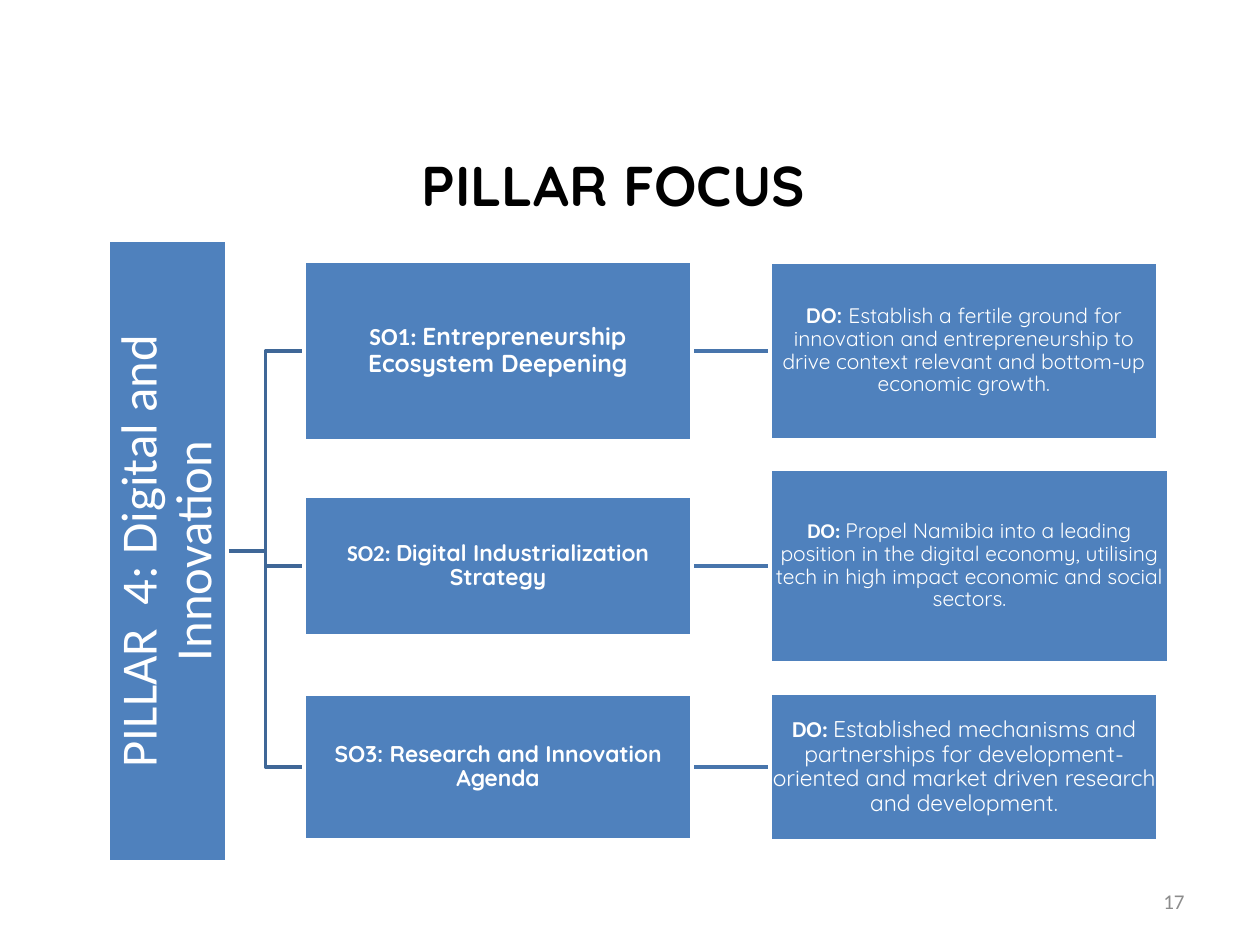
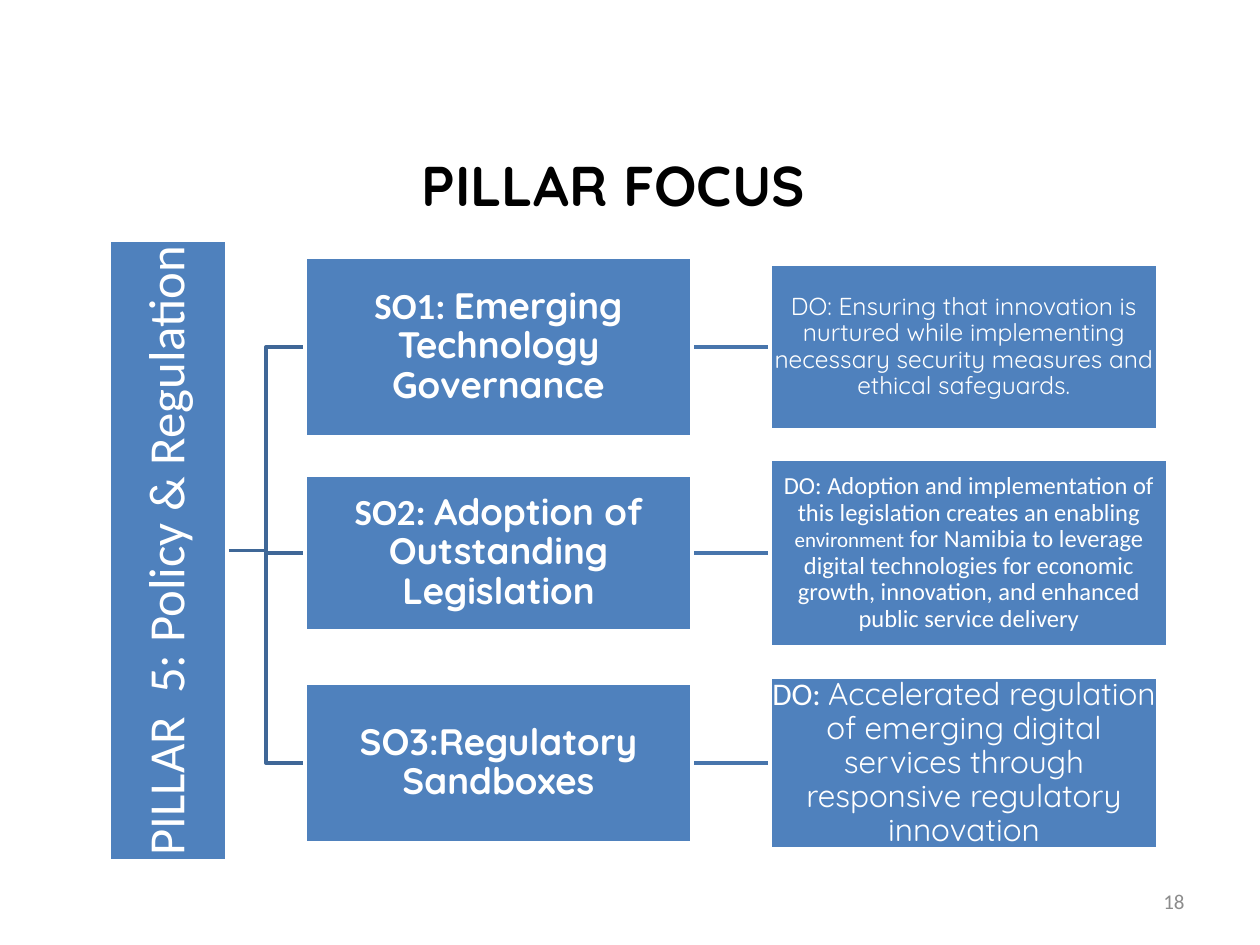
from lxml import etree
from pptx import Presentation
from pptx.dml.color import RGBColor
from pptx.enum.shapes import MSO_CONNECTOR, MSO_SHAPE
from pptx.enum.text import MSO_ANCHOR, PP_ALIGN
from pptx.oxml.ns import qn
from pptx.util import Emu, Pt

RECTANGLE = MSO_SHAPE.RECTANGLE
ELBOW, STRAIGHT = MSO_CONNECTOR.ELBOW, MSO_CONNECTOR.STRAIGHT
TOP, MIDDLE = MSO_ANCHOR.TOP, MSO_ANCHOR.MIDDLE
CENTER, RIGHT = PP_ALIGN.CENTER, PP_ALIGN.RIGHT
LEFT_SIDE, RIGHT_SIDE = 1, 3

EMU_PER_PX = 914400 / 126
HEADING, PLAIN = "Quicksand", "Calibri"
BLACK, WHITE, GREY = "000000", "FFFFFF", "8C8C8C"
BOX_BLUE, BRANCH_BLUE, LINK_BLUE = "4F81BD", "3F6797", "4875AC"

OUTCOME_LEFT = 770
TITLE_BOX = (151, 144, 924, 81)
NUMBER_BOX = (903, 876, 294, 50)

# Each row: centre, objective height, outcome width and height, then runs
# written as (text, size, font, bold)
PILLARS = [
    dict(
        number="17", name="PILLAR  4: Digital and Innovation",
        bar=(108, 240, 119, 622), objective=(304, 388),
        rows=[
            (351, 180, 388, 178,
             [("SO1: ", 14, PLAIN, True),
              ("Entrepreneurship Ecosystem Deepening", 14, HEADING, True)],
             [("DO: ", 12, HEADING, True),
              ("Establish a fertile ground for innovation and entrepreneurship "
               "to drive context relevant and bottom-up economic growth.",
               12, HEADING, False)]),
            (566, 140, 399, 194,
             [("SO2: ", 13, PLAIN, True),
              ("Digital Industrialization Strategy", 13, HEADING, True)],
             [("DO: ", 12, PLAIN, True),
              ("Propel Namibia into a leading position in the digital economy, "
               "utilising tech in high impact economic and social sectors.",
               12, HEADING, False)]),
            (767, 146, 388, 148,
             [("SO3: Research and Innovation Agenda", 13, HEADING, True)],
             [("DO: ", 13, PLAIN, True),
              ("Established mechanisms and partnerships for "
               "development-oriented and market driven research and "
               "development.", 13, HEADING, False)]),
        ]),
    dict(
        number="18", name="PILLAR  5: Policy & Regulation",
        bar=(109, 240, 118, 621), objective=(305, 387),
        rows=[
            (347, 180, 388, 166,
             [("SO1: ", 21, PLAIN, True),
              ("Emerging Technology Governance", 21, HEADING, True)],
             [("DO: Ensuring that innovation is nurtured while implementing "
               "necessary security measures and ethical safeguards.",
               14, HEADING, False)]),
            (553, 156, 398, 188,
             [("SO2: ", 21, PLAIN, True),
              ("Adoption of Outstanding Legislation", 21, HEADING, True)],
             [("DO: Adoption and implementation of this legislation creates an "
               "enabling ", 14, PLAIN, False),
              ("environment", 12, PLAIN, False),
              (" for Namibia to leverage digital technologies for economic "
               "growth, innovation, and enhanced public service delivery",
               14, PLAIN, False)]),
            (763, 160, 388, 172,
             [("SO3:Regulatory Sandboxes", 21, HEADING, True)],
             [("DO: ", 18, PLAIN, False),
              ("Accelerated regulation of emerging digital services through "
               "responsive regulatory innovation", 18, HEADING, False)]),
        ]),
]


def px(length):
    return Emu(round(length * EMU_PER_PX))


def rgb(value):
    return RGBColor.from_string(value)


def write(frame, runs, color, align=CENTER, anchor=MIDDLE):
    frame.word_wrap = True
    frame.vertical_anchor = anchor
    paragraph = frame.paragraphs[0]
    paragraph.alignment = align
    for text, size, font, bold in runs:
        run = paragraph.add_run()
        run.text = text
        run.font.size, run.font.name, run.font.bold = Pt(size), font, bold
        run.font.color.rgb = rgb(color)
    return paragraph


def add_label(slide, box, runs, color, align=CENTER, anchor=MIDDLE):
    label = slide.shapes.add_textbox(*map(px, box))
    write(label.text_frame, runs, color, align, anchor)


def add_block(slide, box, runs, inset=1):
    block = slide.shapes.add_shape(RECTANGLE, *map(px, box))
    block.shadow.inherit = False
    block.fill.solid()
    block.fill.fore_color.rgb = rgb(BOX_BLUE)
    block.line.color.rgb = rgb(WHITE)
    block.line.width = Pt(2)
    frame = block.text_frame
    frame.margin_left = frame.margin_right = px(inset)
    frame.margin_top = frame.margin_bottom = px(inset)
    write(frame, runs, WHITE).line_spacing = 0.9
    return block


def add_line(slide, kind, start, end, color):
    line = slide.shapes.add_connector(kind, *map(px, start + end))
    line.line.color.rgb = rgb(color)
    line.line.width = Pt(2)
    etree.SubElement(line._element.spPr, qn("a:effectLst"))
    return line


def add_pillar_bar(slide, box, name):
    # The bar reads upwards: lay it flat around the same centre, then turn it
    left, top, width, height = box
    shift = (height - width) / 2
    flat = (left - shift, top + shift, height, width)
    bar = add_block(slide, flat, [(name, 29, PLAIN, False)], inset=3)
    bar.rotation = 270


def add_row(slide, bar, objective_span, row):
    center, objective_height, outcome_width, outcome_height, goal, result = row
    bar_left, bar_top, bar_width, bar_height = bar
    left, width = objective_span

    # Lines lie beneath the white borders of the blocks
    branch = add_line(slide, ELBOW,
                      (bar_left + bar_width, bar_top + bar_height / 2),
                      (left, center), BRANCH_BLUE)
    link = add_line(slide, STRAIGHT, (left + width, center),
                    (OUTCOME_LEFT, center), LINK_BLUE)

    objective = add_block(
        slide, (left, center - objective_height / 2, width, objective_height),
        goal)
    outcome = add_block(
        slide, (OUTCOME_LEFT, center - outcome_height / 2,
                outcome_width, outcome_height), result)
    branch.end_connect(objective, LEFT_SIDE)
    link.begin_connect(objective, RIGHT_SIDE)
    link.end_connect(outcome, LEFT_SIDE)


def add_pillar_slide(deck, pillar):
    slide = deck.slides.add_slide(deck.slide_layouts[6])
    # Page number and title
    add_label(slide, NUMBER_BOX, [(pillar["number"], 12, PLAIN, False)],
              GREY, align=RIGHT)
    add_label(slide, TITLE_BOX, [("PILLAR FOCUS", 32, HEADING, True)],
              BLACK, anchor=TOP)
    # Objectives with their outcomes, then the pillar they branch from
    for row in pillar["rows"]:
        add_row(slide, pillar["bar"], pillar["objective"], row)
    add_pillar_bar(slide, pillar["bar"], pillar["name"])


def main():
    deck = Presentation()
    deck.slide_width, deck.slide_height = px(1260), px(945)
    for pillar in PILLARS:
        add_pillar_slide(deck, pillar)
    deck.save("out.pptx")


if __name__ == "__main__":
    main()
